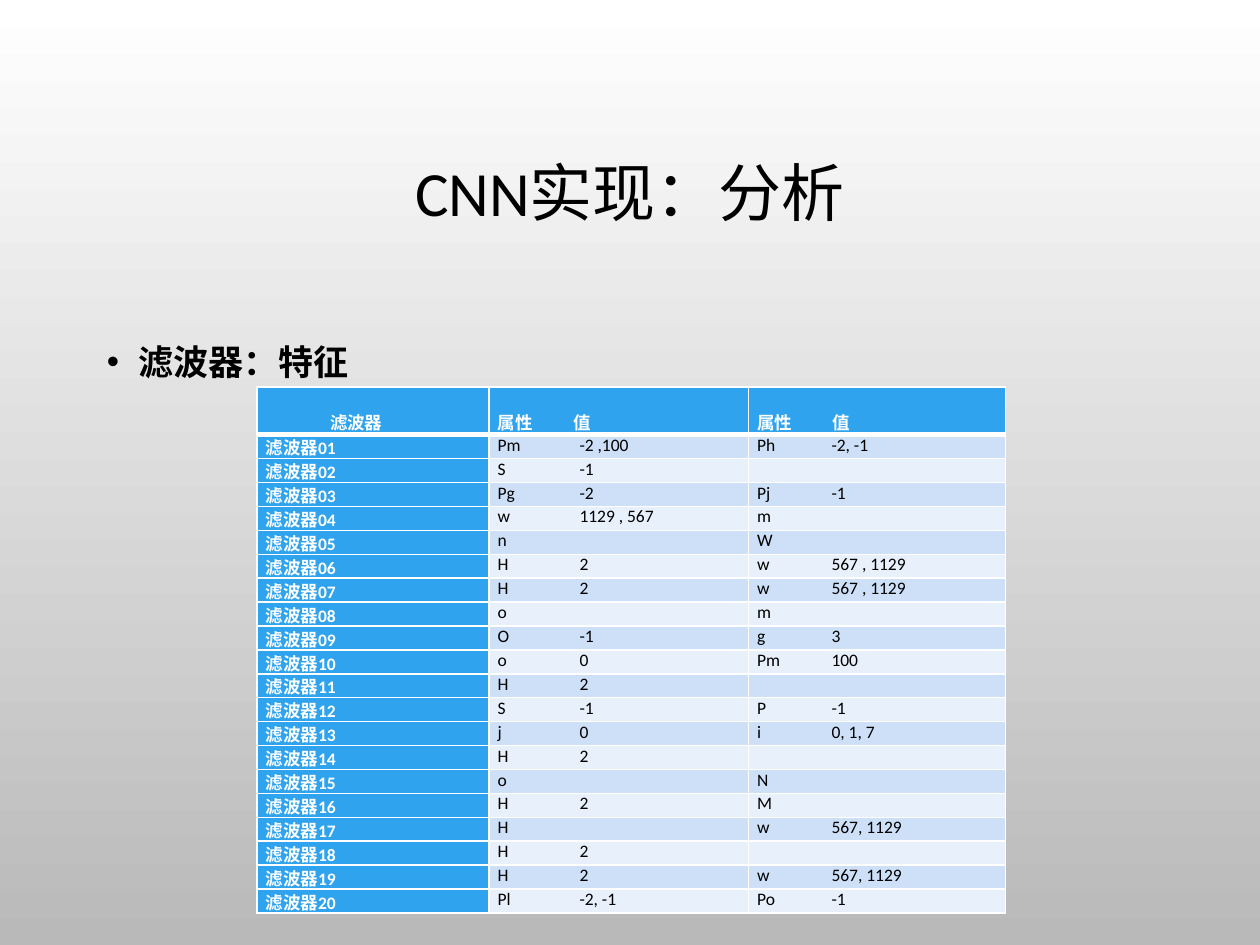
from lxml import etree
from pptx import Presentation
from pptx.dml.color import RGBColor
from pptx.enum.text import MSO_ANCHOR, PP_ALIGN
from pptx.oxml.ns import qn
from pptx.util import Inches, Pt

CENTER = PP_ALIGN.CENTER
LEFT = PP_ALIGN.LEFT
TOP = MSO_ANCHOR.TOP
MIDDLE = MSO_ANCHOR.MIDDLE
BOTTOM = MSO_ANCHOR.BOTTOM

COLORS = {
    "black": "000000",
    "white": "FFFFFF",
    "gray": "B9B9B9",
    "blue": "2FA3EE",
    "odd": "CDE0F8",
    "even": "E8F0FC",
}

HEADER = ["滤波器", "属性\t值", "属性\t值"]
FEATURES = [
    ("Pm\t-2 ,100", "Ph\t-2, -1"),
    ("S\t-1", ""),
    ("Pg\t-2", "Pj\t-1"),
    ("w\t1129 , 567", "m"),
    ("n", "W"),
    ("H\t2", "w\t567 , 1129"),
    ("H\t2", "w\t567 , 1129"),
    ("o", "m"),
    ("O\t-1", "g\t3"),
    ("o\t0", "Pm\t100"),
    ("H\t2", ""),
    ("S\t-1", "P\t-1"),
    ("j\t0", "i\t0, 1, 7"),
    ("H\t2", ""),
    ("o", "N"),
    ("H\t2", "M"),
    ("H", "w\t567, 1129"),
    ("H\t2", ""),
    ("H\t2", "w\t567, 1129"),
    ("Pl\t-2, -1", "Po\t-1"),
]
COLUMN_WIDTHS = [1.84, 2.06, 2.04]
VALUE_TABS = [None, 0.65, 0.59]
HEADER_TAB = 0.6
HEADER_HEIGHT = 0.38
ROW_HEIGHT = 0.19


def rgb(color):
    return RGBColor.from_string(COLORS[color])


class SlideBuilder:
    font_name = "Calibri"

    def __init__(self, presentation):
        self.slide = presentation.slides.add_slide(presentation.slide_layouts[6])

    def background(self, colors, angle):
        fill = self.slide.background.fill
        fill.gradient()
        fill.gradient_angle = angle
        for stop, color in zip(fill.gradient_stops, colors):
            stop.color.rgb = rgb(color)

    def run(self, paragraph, text, size, color="black", bold=False):
        run = paragraph.add_run()
        run.text = text
        font_format = {"name": self.font_name, "size": Pt(size), "bold": bold}
        for name, value in font_format.items():
            setattr(run.font, name, value)
        run.font.color.rgb = rgb(color)

    def text(self, box, text, size, anchor=TOP, align=LEFT, spacing=1.0,
             bullet_indent=None, bold=False):
        shape = self.slide.shapes.add_textbox(*map(Inches, box))
        frame = shape.text_frame
        frame.word_wrap = True
        frame.vertical_anchor = anchor
        paragraph = frame.paragraphs[0]
        paragraph.alignment = align
        paragraph.line_spacing = spacing
        if bullet_indent:
            self.bullet(paragraph, bullet_indent)
        self.run(paragraph, text, size, bold=bold)

    def bullet(self, paragraph, indent):
        properties = paragraph._p.get_or_add_pPr()
        properties.set("marL", str(Inches(indent)))
        properties.set("indent", str(-Inches(indent)))
        color = etree.SubElement(properties, qn("a:buClr"))
        etree.SubElement(color, qn("a:srgbClr"), val=COLORS["black"])
        etree.SubElement(properties, qn("a:buFont"), typeface="Arial")
        etree.SubElement(properties, qn("a:buChar"), char="•")

    def borders(self, cell, widths):
        properties = cell._tc.get_or_add_tcPr()
        for side, width in widths.items():
            line = etree.SubElement(properties, qn("a:ln" + side), w=str(Pt(width)))
            fill = etree.SubElement(line, qn("a:solidFill"))
            etree.SubElement(fill, qn("a:srgbClr"), val=COLORS["white"])

    def cell(self, cell, text, fill, color, bold, anchor, tab, indent, widths):
        cell_format = {
            "margin_left": Inches(0.07),
            "margin_right": Inches(0.07),
            "margin_top": 0,
            "margin_bottom": 0,
            "vertical_anchor": anchor,
        }
        for name, value in cell_format.items():
            setattr(cell, name, value)
        self.borders(cell, widths)
        cell.fill.solid()
        cell.fill.fore_color.rgb = rgb(fill)
        paragraph = cell.text_frame.paragraphs[0]
        properties = paragraph._p.get_or_add_pPr()
        if indent:
            properties.set("indent", str(Inches(indent)))
        if "\t" in text:
            tabs = etree.SubElement(properties, qn("a:tabLst"))
            etree.SubElement(tabs, qn("a:tab"), pos=str(Inches(tab)), algn="l")
        if text:
            self.run(paragraph, text, 10, color, bold)
        else:
            etree.SubElement(paragraph._p, qn("a:endParaRPr"), sz="1000")

    def table(self, left, top, rows):
        height = HEADER_HEIGHT + ROW_HEIGHT * (len(rows) - 1)
        box = (left, top, sum(COLUMN_WIDTHS), height)
        table = self.slide.shapes.add_table(
            len(rows), len(COLUMN_WIDTHS), *map(Inches, box)).table
        for column, width in zip(table.columns, COLUMN_WIDTHS):
            column.width = Inches(width)
        for row_index, texts in enumerate(rows):
            header = row_index == 0
            table.rows[row_index].height = Inches(HEADER_HEIGHT if header else ROW_HEIGHT)
            widths = {"L": 1, "R": 1, "T": 3 if row_index == 1 else 1, "B": 3 if header else 1}
            band = "odd" if row_index % 2 else "even"
            for column_index, text in enumerate(texts):
                strong = header or column_index == 0
                self.cell(
                    table.cell(row_index, column_index),
                    text,
                    fill="blue" if strong else band,
                    color="white" if strong else "black",
                    bold=strong,
                    anchor=BOTTOM if header else TOP,
                    tab=HEADER_TAB if header else VALUE_TABS[column_index],
                    indent=0.51 if header and column_index == 0 else 0,
                    widths=widths,
                )


def main():
    presentation = Presentation()
    presentation.slide_width = Inches(10)
    presentation.slide_height = Inches(7.5)
    builder = SlideBuilder(presentation)
    builder.background(["white", "gray"], 270)
    builder.text((0.75, 0.68, 8.5, 1.75), "CNN实现：分析", 36,
                 anchor=MIDDLE, align=CENTER, spacing=0.9)
    rows = [HEADER]
    for number, features in enumerate(FEATURES, 1):
        rows.append([f"滤波器{number:02d}", *features])
    builder.table(2.04, 3.07, rows)
    builder.text((0.75, 2.59, 8.5, 3.74), "滤波器：特征", 20,
                 spacing=1.2, bullet_indent=0.25, bold=True)
    presentation.save("out.pptx")


if __name__ == "__main__":
    main()
